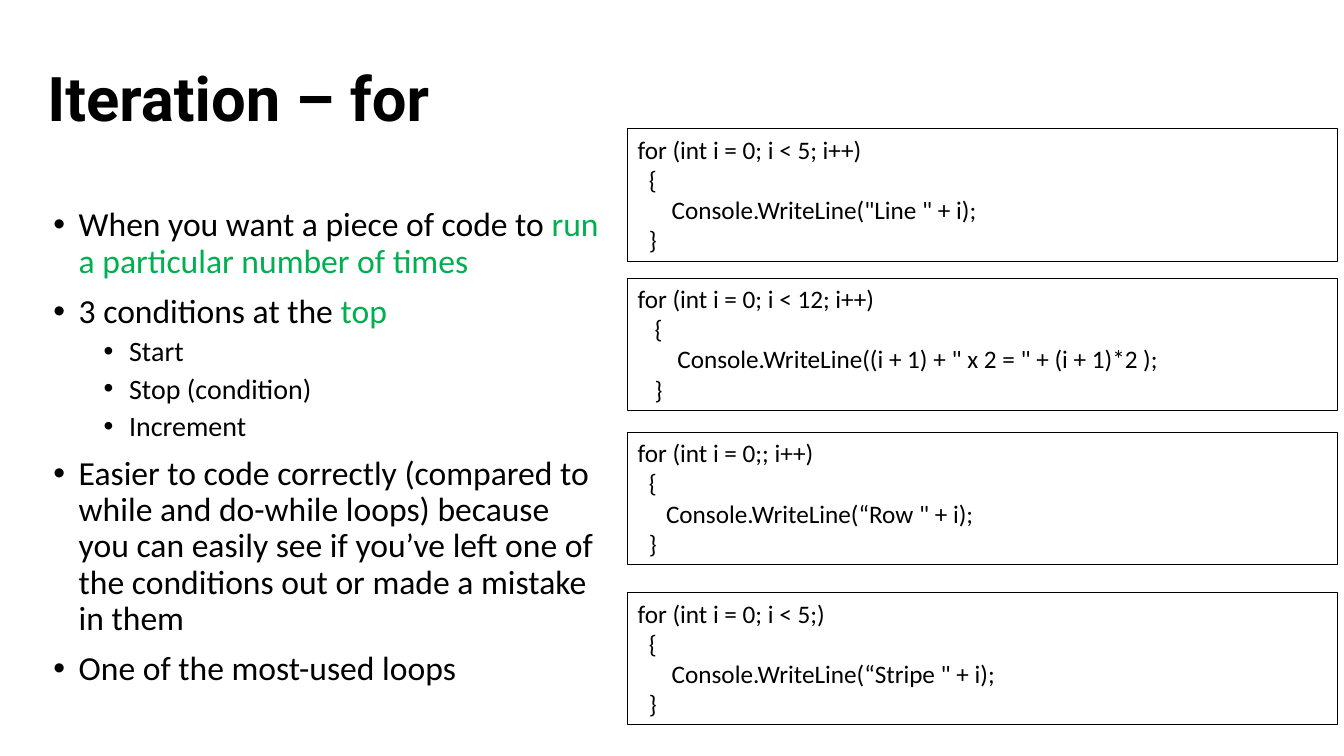
from lxml import etree
from pptx import Presentation
from pptx import util as u
from pptx.dml.color import RGBColor
from pptx.enum import shapes, text
from pptx.oxml import ns

BLACK = RGBColor(0x00, 0x00, 0x00)
GREEN = RGBColor(0x00, 0xB0, 0x50)

BULLETS = [
    (0, [("When you want a piece of code to ", BLACK), ("run a particular number of times", GREEN)]),
    (0, [("3 conditions at the ", BLACK), ("top", GREEN)]),
    (1, [("Start", BLACK)]),
    (1, [("Stop (condition)", BLACK)]),
    (1, [("Increment", BLACK)]),
    (0, [("Easier to code correctly (compared to while and do-while loops) because you can easily "
          "see if you’ve left one of the conditions out or made a mistake in them", BLACK)]),
    (0, [("One of the most-used loops", BLACK)]),
]

LOOPS = [
    (3.25, ["for (int i = 0; i < 5; i++)", "  {", '      Console.WriteLine("Line " + i);', "  }"]),
    (7.01, ["for (int i = 0; i < 12; i++)", "   {",
            '       Console.WriteLine((i + 1) + " x 2 = " + (i + 1)*2 );', "   }"]),
    (10.9, ["for (int i = 0;; i++)", "  {", '     Console.WriteLine(“Row " + i);', "  }"]),
    (14.94, ["for (int i = 0; i < 5;)", "  {", '      Console.WriteLine(“Stripe " + i);', "  }"]),
]


def add_text(p, content, font="Calibri", size=18, color=BLACK, bold=False):
    r = p.add_run()
    r.text = content
    r.font.name = font
    r.font.size = u.Pt(size)
    r.font.bold = bold
    r.font.color.rgb = color


def paragraphs(tf, items):
    for i, item in enumerate(items):
        yield (tf.add_paragraph() if i else tf.paragraphs[0]), item


class SlideBuilder:
    sizes = (24, 20)
    spaces = (10, 5)
    indents = (0.64, 1.91)
    hanging = -0.64

    def __init__(self, prs):
        self.slide = prs.slides.add_slide(prs.slide_layouts[1])

    def place(self, sp, left, top, width, height):
        sp.left, sp.top = u.Cm(left), u.Cm(top)
        sp.width, sp.height = u.Cm(width), u.Cm(height)
        tf = sp.text_frame
        tf.word_wrap = True
        tf.auto_size = text.MSO_AUTO_SIZE.NONE
        return tf

    def title(self, content, *box):
        tf = self.place(self.slide.shapes.title, *box)
        tf.vertical_anchor = text.MSO_ANCHOR.MIDDLE
        p = tf.paragraphs[0]
        p.alignment = text.PP_ALIGN.LEFT
        p.line_spacing = 0.9
        add_text(p, content, font="Roboto", size=44, bold=True)

    def bullets(self, items, *box):
        tf = self.place(self.slide.placeholders[1], *box)
        for i, (p, (level, runs)) in enumerate(paragraphs(tf, items)):
            p.level = level
            p.line_spacing = 0.9
            p.space_before = u.Pt(self.spaces[level] if i else 0)
            pPr = p._p.get_or_add_pPr()
            pPr.set("marL", str(u.Cm(self.indents[level])))
            pPr.set("indent", str(u.Cm(self.hanging)))
            etree.SubElement(pPr, ns.qn("a:buFont"), typeface="Arial")
            etree.SubElement(pPr, ns.qn("a:buChar"), char="•")
            for content, color in runs:
                add_text(p, content, size=self.sizes[level], color=color)

    def code(self, lines, *box):
        sp = self.slide.shapes.add_shape(shapes.MSO_SHAPE.RECTANGLE, *map(u.Cm, box))
        sp.shadow.inherit = False
        sp.fill.background()
        sp.line.color.rgb = BLACK
        sp.line.width = u.Pt(0.75)
        tf = self.place(sp, *box)
        tf.vertical_anchor = text.MSO_ANCHOR.TOP
        for p, line in paragraphs(tf, lines):
            p.alignment = text.PP_ALIGN.LEFT
            add_text(p, line)


def main():
    prs = Presentation()
    prs.slide_width, prs.slide_height = u.Cm(33.87), u.Cm(19.05)
    s = SlideBuilder(prs)
    s.title("Iteration – for", 0.94, 0.71, 29.21, 3.68)
    s.bullets(BULLETS, 1.09, 5.11, 14.4, 12.85)
    for top, lines in LOOPS:
        s.code(lines, 15.82, top, 17.88, 3.33)
    prs.save("out.pptx")


if __name__ == "__main__":
    main()
